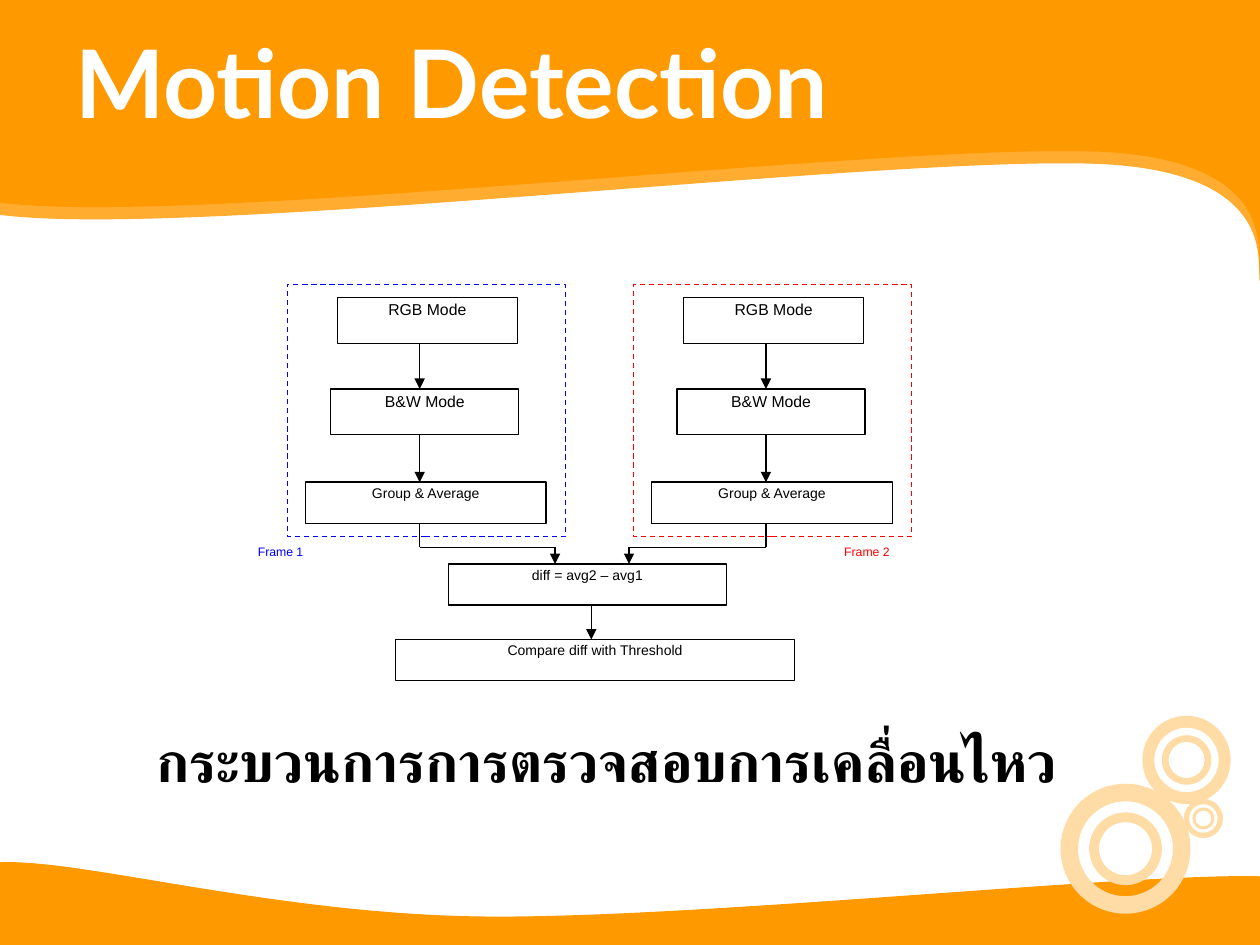
from lxml import etree
from pptx import Presentation
from pptx.dml.color import RGBColor
from pptx.enum.dml import MSO_LINE
from pptx.enum.shapes import MSO_CONNECTOR, MSO_SHAPE
from pptx.enum.text import MSO_ANCHOR, MSO_AUTO_SIZE, PP_ALIGN
from pptx.oxml import parse_xml
from pptx.oxml.ns import nsdecls, qn
from pptx.util import Cm, Pt

RECT, DONUT = MSO_SHAPE.RECTANGLE, MSO_SHAPE.DONUT
STRAIGHT = MSO_CONNECTOR.STRAIGHT
LEFT, CENTER = PP_ALIGN.LEFT, PP_ALIGN.CENTER
TOP, MIDDLE = MSO_ANCHOR.TOP, MSO_ANCHOR.MIDDLE
ORANGE, PALE, GLOW = "FF9900", "FFDBA6", "FFAC31"
BLACK, WHITE, BLUE, RED = "000000", "FFFFFF", "0000FF", "FF0000"

# All lengths are in centimetres.
TITLE = "Motion Detection"
CAPTION = "กระบวนการการตรวจสอบการเคลื่อนไหว"

# Each wave: three straight corners, then Bezier curves (two controls and an end).
BOTTOM_WAVE = [
    (25.4, 19.08), (-0.03, 19.13), (-0.05, 17.4),
    (1.57, 17.3), (5.49, 18.44), (9.73, 18.49),
    (13.97, 18.54), (22.81, 17.6), (25.43, 17.68)]
TOP_WAVE = [
    (-0.08, -0.1), (25.55, -0.13), (25.55, 5.38),
    (24.99, 5.92), (26.52, 3.28), (22.25, 3.05),
    (17.98, 2.84), (3.63, 4.6), (-0.1, 4.06)]
CORNERS = 3

RINGS = [(22.69, 17.11, 2.62), (24.26, 16.5, 0.79), (23.92, 15.32, 1.78)]
INNER_RATIO = 0.56

# Steps of one frame: text, offset from the frame's left, top, width, height, size
STEPS = [
    ("RGB Mode", 1.01, 6.0, 3.63, 0.92, 9),
    ("B&W Mode", 0.88, 7.84, 3.79, 0.92, 9),
    ("Group & Average", 0.37, 9.72, 4.85, 0.83, 8),
]
FRAME_TOP, FRAME_WIDTH, FRAME_HEIGHT = 5.73, 5.61, 5.08
AXIS = 2.67  # flow line, from the frame's left
# Frames: label, left, colour, label left, x where the flow enters the diff box
FRAMES = [
    ("Frame 1", 5.79, BLUE, 5.1, 11.19),
    ("Frame 2", 12.77, RED, 16.92, 12.68),
]
RESULTS = [
    ("diff = avg2 – avg1", 9.04, 11.37, 5.61, 0.83),
    ("Compare diff with Threshold", 7.98, 12.89, 8.04, 0.83),
]
JOIN_Y, RESULT_X = 11.03, 11.92


def color(code):
    return RGBColor.from_string(code)


def write(shape, text, size, font="Arial", ink=BLACK, bold=False, align=LEFT,
          anchor=TOP, margins=(0.1, 0.05), wrap=True):
    frame = shape.text_frame
    frame.auto_size = MSO_AUTO_SIZE.NONE
    frame.word_wrap = wrap
    frame.vertical_anchor = anchor
    frame.margin_left = frame.margin_right = Cm(margins[0])
    frame.margin_top = frame.margin_bottom = Cm(margins[1])
    para = frame.paragraphs[0]
    para.alignment = align
    span = para.add_run()
    span.text = text
    span.font.name, span.font.size, span.font.bold = font, Pt(size), bold
    span.font.color.rgb = color(ink)


def paint(shape, fill=None, line=None):
    shape.shadow.inherit = False
    if fill:
        shape.fill.solid()
        shape.fill.fore_color.rgb = color(fill)
    else:
        shape.fill.background()
    if line:
        shape.line.color.rgb = color(line)
        shape.line.width = Pt(0.75)
    else:
        shape.line.fill.background()
    return shape


def add_box(page, left, top, width, height, kind=RECT, **look):
    shape = page.shapes.add_shape(kind, Cm(left), Cm(top), Cm(width), Cm(height))
    return paint(shape, **look)


def add_label(page, left, top, width, height, text, size, **look):
    box = page.shapes.add_textbox(Cm(left), Cm(top), Cm(width), Cm(height))
    write(box, text, size, **look)


def add_line(page, x1, y1, x2, y2, arrow=False):
    line = page.shapes.add_connector(STRAIGHT, Cm(x1), Cm(y1), Cm(x2), Cm(y2))
    line.line.color.rgb = color(BLACK)
    line.line.width = Pt(0.75)
    properties = line._element.spPr
    if arrow:
        etree.SubElement(properties.find(qn("a:ln")), qn("a:tailEnd"), type="triangle")
    etree.SubElement(properties, qn("a:effectLst"))


def add_wave(page, outline):
    """Draw the outline, turning each three points after the corners into a curve."""
    points = [(Cm(x), Cm(y)) for x, y in outline]
    builder = page.shapes.build_freeform(*points[0])
    builder.add_line_segments(points[1:], close=True)
    wave = builder.convert_to_shape()
    segments = list(wave._element.iter(qn("a:lnTo")))[CORNERS - 1:len(points) - 1]
    for start in range(0, len(segments), 3):
        curve = etree.Element(qn("a:cubicBezTo"))
        segments[start].addprevious(curve)
        for segment in segments[start:start + 3]:
            curve.append(segment[0])
            segment.getparent().remove(segment)
    return paint(wave, fill=ORANGE, line=ORANGE)


def add_drop_shadow(shape, ink, distance):
    effects = shape._element.spPr.find(qn("a:effectLst"))
    effects.append(parse_xml(
        f'<a:outerShdw {nsdecls("a")} dist="{Pt(distance)}" dir="5400000" '
        f'algn="ctr" rotWithShape="0"><a:srgbClr val="{ink}"/></a:outerShdw>'))


def add_background(page):
    add_wave(page, BOTTOM_WAVE)
    add_drop_shadow(add_wave(page, TOP_WAVE), GLOW, 7)
    for x, y, outer in RINGS:
        for size in (outer, outer * INNER_RATIO):
            ring = add_box(page, x - size / 2, y - size / 2, size, size, DONUT, fill=PALE)
            ring.adjustments[0] = 0.135


def add_step(page, text, left, top, width, height, size=8):
    box = add_box(page, left, top, width, height, line=BLACK)
    write(box, text, size, align=CENTER)


def add_frame(page, label, left, ink, label_left, entry_x):
    for text, offset, top, width, height, size in STEPS:
        add_step(page, text, left + offset, top, width, height, size)
    x = left + AXIS
    for upper, lower in zip(STEPS, STEPS[1:]):
        add_line(page, x, upper[2] + upper[4], x, lower[2], arrow=True)
    border = add_box(page, left, FRAME_TOP, FRAME_WIDTH, FRAME_HEIGHT, line=ink)
    border.line.dash_style = MSO_LINE.DASH
    add_line(page, x, STEPS[-1][2] + STEPS[-1][4], x, JOIN_Y)
    add_line(page, x, JOIN_Y, entry_x, JOIN_Y)
    add_line(page, entry_x, JOIN_Y, entry_x, RESULTS[0][2], arrow=True)
    add_label(page, label_left, 10.93, 2.57, 0.71, label, 7, ink=ink)


def main():
    deck = Presentation()
    deck.slide_width, deck.slide_height = Cm(25.4), Cm(19.05)
    page = deck.slides.add_slide(deck.slide_layouts[5])
    add_background(page)

    title = page.shapes.title
    title.left, title.top, title.width, title.height = Cm(1.27), Cm(0.53), Cm(22.53), Cm(2.21)
    write(title, TITLE, 54, font="Lato", ink=WHITE, bold=True, anchor=MIDDLE,
          margins=(0.25, 0.13))
    page.shapes._spTree.append(title._element)  # in front of the wave

    for frame in FRAMES:
        add_frame(page, *frame)
    for result in RESULTS:
        add_step(page, *result)
    add_line(page, RESULT_X, RESULTS[0][2] + RESULTS[0][4], RESULT_X, RESULTS[1][2], arrow=True)
    add_label(page, 2.9, 14.51, 18.72, 1.63, CAPTION, 32, bold=True,
              margins=(0.25, 0.13), wrap=False)
    deck.save("out.pptx")


if __name__ == "__main__":
    main()
